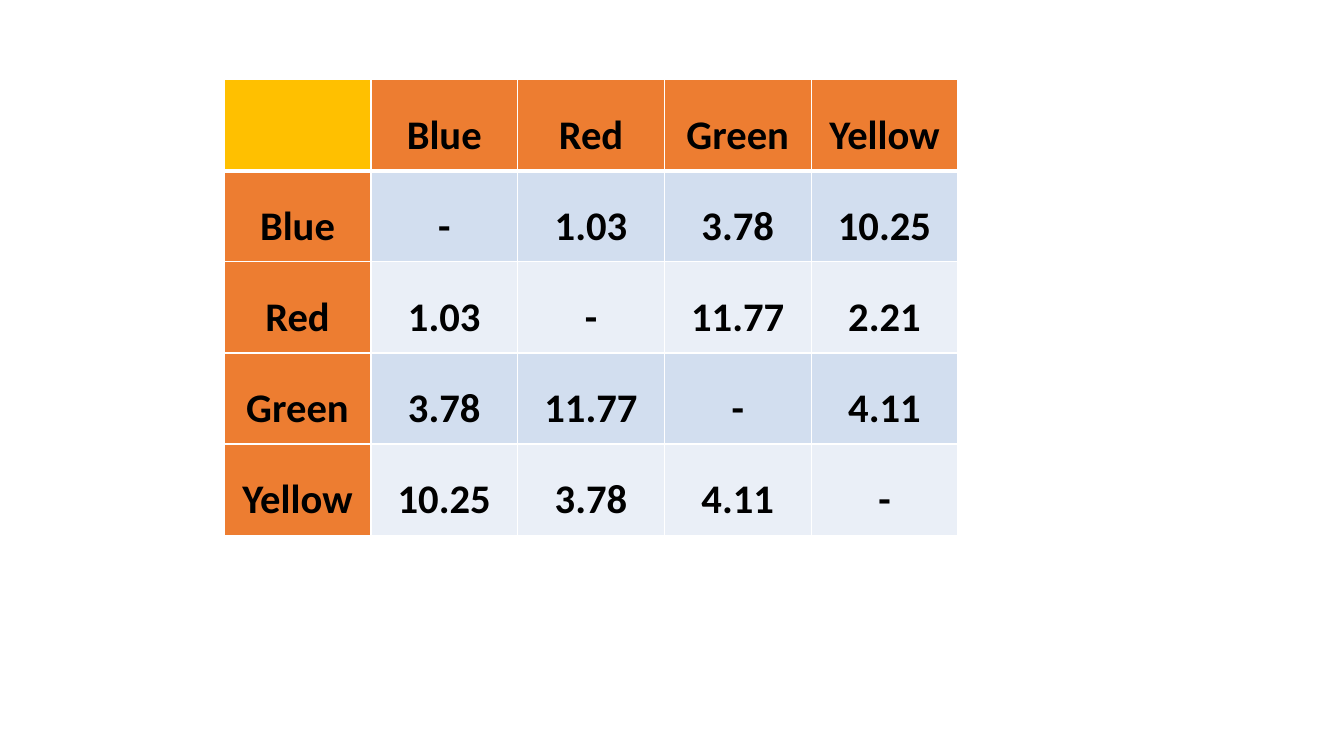
import pptx
import pptx.dml.color
import pptx.enum.text
import pptx.oxml
import pptx.oxml.ns
import pptx.util

COLORS = {
    "corner": "FFC000",
    "header": "ED7D31",
    "odd_row": "D2DEEF",
    "even_row": "EAEFF7",
    "rule": "FFFFFF",
    "text": "000000",
}


class ColorSlide:
    """Holds the text style and the current slide; lengths are percent of the slide."""

    font, size, line_spacing = "Calibri", 29, 1.5
    margin_x, margin_y = 0.12, 0.06
    thin, thick = 1, 3

    def __init__(self, deck):
        self.deck = deck
        self.slide = deck.slides.add_slide(deck.slide_layouts[6])

    def across(self, percent):
        return round(self.deck.slide_width * percent / 100)

    def down(self, percent):
        return round(self.deck.slide_height * percent / 100)

    def matrix(self, rows, left, top, width, height):
        table = self.slide.shapes.add_table(
            len(rows), len(rows[0]), self.across(left), self.down(top),
            self.across(width), self.down(height)).table
        for r, row in enumerate(rows):
            for c, value in enumerate(row):
                cell = table.cell(r, c)
                # The heavy rule separates the header row from the body
                self.borders(cell, top=self.thick if r == 1 else self.thin,
                             bottom=self.thick if r == 0 else self.thin)
                self.fill(cell, r, c)
                self.text(cell, value)

    def borders(self, cell, top, bottom):
        properties = cell._tc.get_or_add_tcPr()
        for side, points in zip("LRTB", (self.thin, self.thin, top, bottom)):
            properties.append(pptx.oxml.parse_xml(
                f'<a:ln{side} {pptx.oxml.ns.nsdecls("a")} w="{pptx.util.Pt(points)}">'
                f'<a:solidFill><a:srgbClr val="{COLORS["rule"]}"/></a:solidFill>'
                f'</a:ln{side}>'))

    def fill(self, cell, r, c):
        if r == 0 and c == 0:
            part = "corner"
        elif r == 0 or c == 0:
            part = "header"
        else:
            part = "odd_row" if r % 2 else "even_row"
        cell.fill.solid()
        cell.fill.fore_color.rgb = pptx.dml.color.RGBColor.from_string(COLORS[part])

    def text(self, cell, value):
        cell.margin_left = cell.margin_right = pptx.util.Inches(self.margin_x)
        cell.margin_top = cell.margin_bottom = pptx.util.Inches(self.margin_y)
        if not value:
            return
        paragraph = cell.text_frame.paragraphs[0]
        paragraph.alignment = pptx.enum.text.PP_ALIGN.CENTER
        paragraph.line_spacing = self.line_spacing
        run = paragraph.add_run()
        run.text = value
        run.font.name, run.font.size, run.font.bold = self.font, pptx.util.Pt(self.size), True
        run.font.color.rgb = pptx.dml.color.RGBColor.from_string(COLORS["text"])


deck = pptx.Presentation()
deck.slide_width, deck.slide_height = pptx.util.Inches(13.33), pptx.util.Inches(7.5)

# Pairwise values between the four colours
color_names = ["Blue", "Red", "Green", "Yellow"]
pair_values = [
    ["-", "1.03", "3.78", "10.25"],
    ["1.03", "-", "11.77", "2.21"],
    ["3.78", "11.77", "-", "4.11"],
    ["10.25", "3.78", "4.11", "-"],
]
color_matrix = [["", *color_names]]
color_matrix += [[name, *values] for name, values in zip(color_names, pair_values)]

ColorSlide(deck).matrix(color_matrix, left=16.68, top=10.53, width=54.6, height=60.27)

deck.save("out.pptx")
